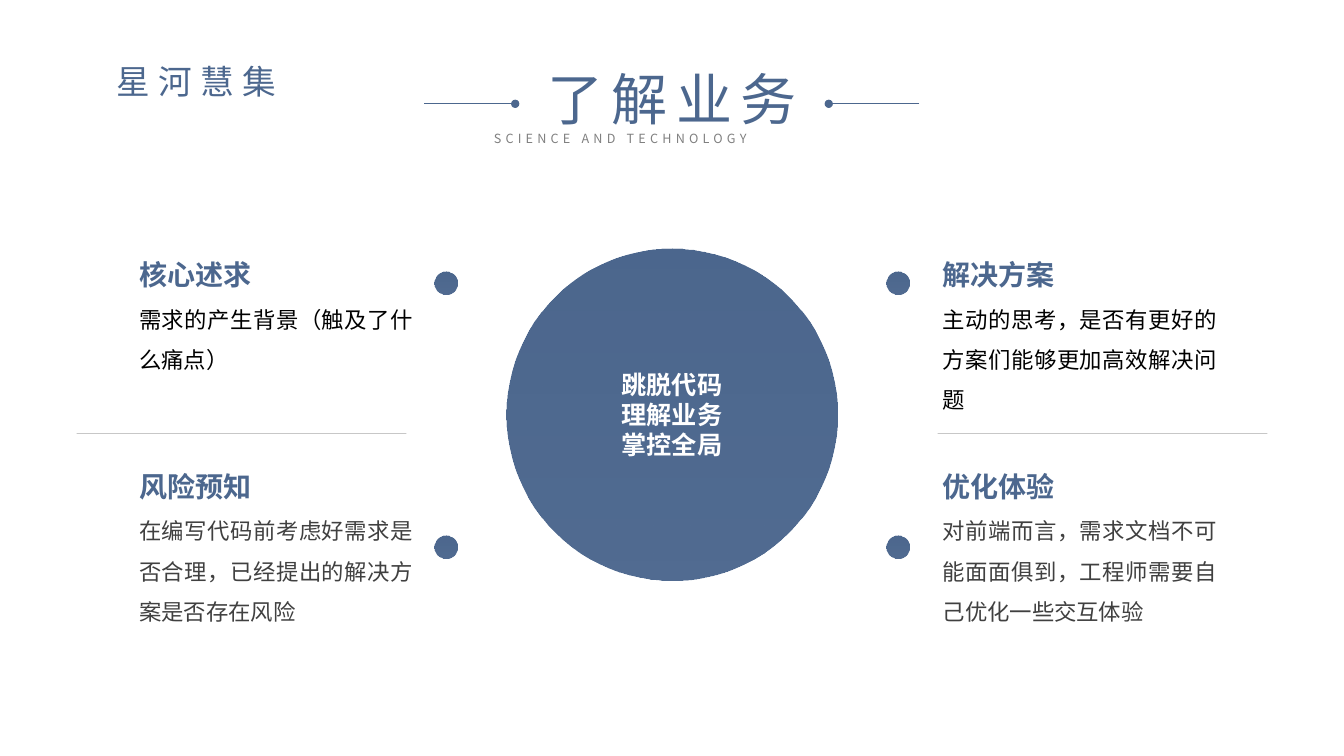
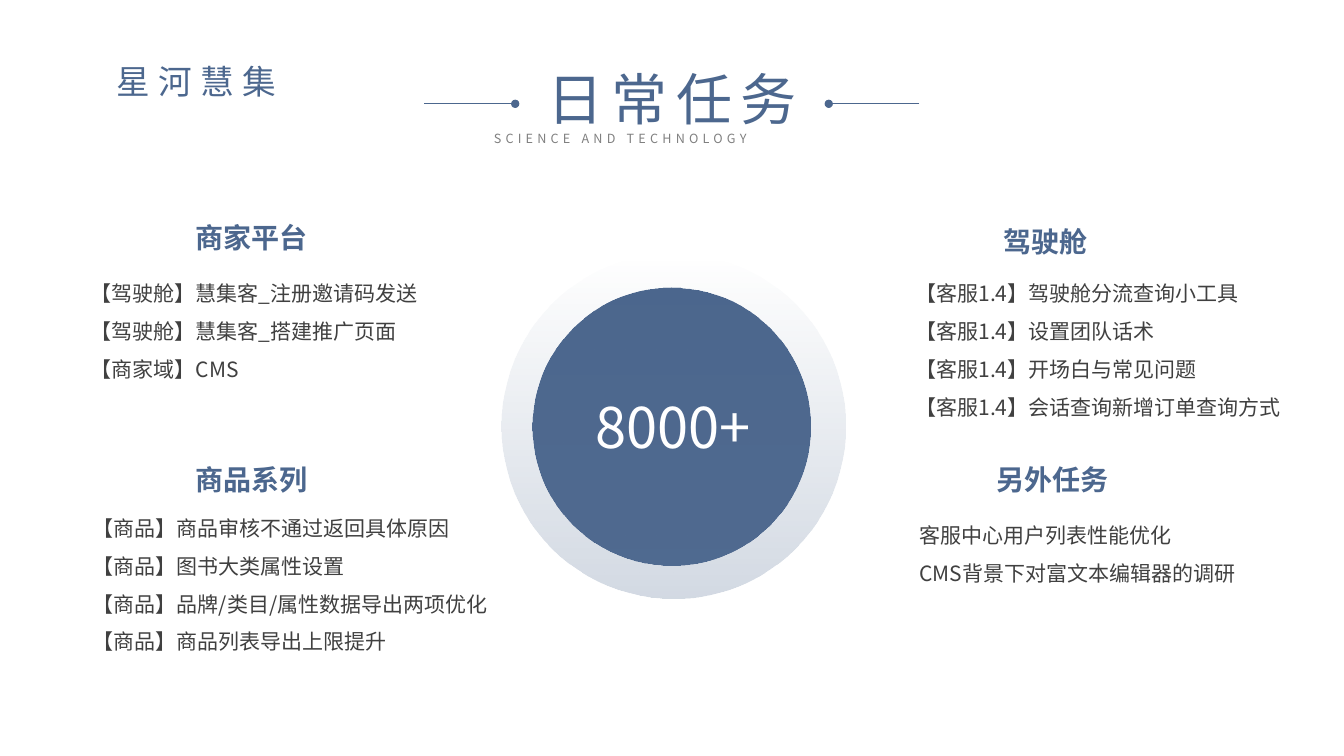
"""Build two business slides that share a title header and a round centrepiece."""
from dataclasses import dataclass

from lxml.etree import SubElement
from pptx import Presentation
from pptx.dml.color import RGBColor
from pptx.enum.shapes import MSO_CONNECTOR, MSO_SHAPE
from pptx.enum.text import MSO_AUTO_SIZE, PP_ALIGN
from pptx.oxml.ns import qn
from pptx.util import Emu, Pt


@dataclass(frozen=True)
class Theme:
    font: str = "Noto Sans CJK SC"
    blue: str = "4C678E"
    dark: str = "404040"
    black: str = "000000"
    white: str = "FFFFFF"
    caption: str = "808080"
    divider: str = "A6A6A6"
    title_size: int = 40
    brand_size: int = 24
    heading_size: int = 20
    centre_size: int = 18
    body_size: int = 16
    list_size: int = 15
    caption_size: int = 9
    line_width: float = 0.5


theme = Theme()
PX = 9144


def add_text(slide, lines, box, size, color, bold=False, spacing=0,
             align=PP_ALIGN.JUSTIFY, line_spacing=None, inset=True, wrap=True):
    frame = slide.shapes.add_textbox(*(Emu(value * PX) for value in box)).text_frame
    frame.word_wrap = wrap
    frame.auto_size = MSO_AUTO_SIZE.SHAPE_TO_FIT_TEXT
    if not inset:
        frame.margin_left = frame.margin_top = frame.margin_right = frame.margin_bottom = 0
    for index, line in enumerate(lines):
        paragraph = frame.paragraphs[0] if index == 0 else frame.add_paragraph()
        paragraph.alignment = align
        paragraph.line_spacing = line_spacing
        run = paragraph.add_run()
        run.text = line
        run.font.size = Pt(size)
        run.font.bold = bold
        run.font.name = theme.font
        run.font.color.rgb = RGBColor.from_string(color)
        properties = run.font._element
        SubElement(properties, qn("a:ea"), typeface=theme.font)
        if spacing:
            properties.set("spc", str(spacing * 100))


def add_circle(slide, left, top, diameter, opacities=(100, 97)):
    shape = slide.shapes.add_shape(
        MSO_SHAPE.OVAL, *(Emu(value * PX) for value in (left, top, diameter, diameter)))
    shape.shadow.inherit = False
    shape.line.fill.background()
    shape.fill.gradient()
    shape.fill.gradient_angle = 270
    for stop in shape.fill.gradient_stops:
        stop.color.rgb = RGBColor.from_string(theme.blue)
    for color, opacity in zip(shape.element.spPr.iter(qn("a:srgbClr")), opacities):
        SubElement(color, qn("a:alpha"), val=str(opacity * 1000))


presentation = Presentation()
presentation.slide_width = Emu(1333 * PX)
presentation.slide_height = Emu(750 * PX)

slides = []
lines = []
for title in ("了解业务", "日常任务"):
    slide = presentation.slides.add_slide(presentation.slide_layouts[6])
    slides.append(slide)
    add_text(slide, ["SCIENCE AND TECHNOLOGY"], (480, 125, 374, 25),
             theme.caption_size, theme.caption, spacing=3)
    add_text(slide, [title], (516, 59, 301, 77), theme.title_size, theme.blue,
             spacing=6, align=PP_ALIGN.CENTER)
    add_text(slide, ["星河慧集"], (106, 56, 310, 50), theme.brand_size, theme.blue,
             spacing=6, align=PP_ALIGN.LEFT)
    lines += [(slide, 421, 511, 103, theme.blue, 100, True),
              (slide, 912, 822, 103, theme.blue, 100, True)]

business, tasks = slides

lines += [(business, left, left + 327, 430, theme.divider, 62, False) for left in (76, 930)]
for slide, start, end, height, color, opacity, dotted in lines:
    connector = slide.shapes.add_connector(
        MSO_CONNECTOR.STRAIGHT, *(Emu(value * PX) for value in (start, height, end, height)))
    connector.line.width = Pt(theme.line_width)
    connector.line.color.rgb = RGBColor.from_string(color)
    properties = connector._element.spPr
    SubElement(properties, qn("a:effectLst"))
    if dotted:
        SubElement(connector.line._get_or_add_ln(), qn("a:tailEnd"), type="oval")
    if opacity < 100:
        for line_color in properties.iter(qn("a:srgbClr")):
            SubElement(line_color, qn("a:alpha"), val=str(opacity * 1000))

add_circle(business, 502, 247, 329)
for left in (431, 879):
    for top in (269, 531):
        add_circle(business, left, top, 23)

topics = [
    (138, 239, theme.black, "核心述求", "需求的产生背景（触及了什么痛点）"),
    (138, 449, theme.dark, "风险预知", "在编写代码前考虑好需求是否合理，已经提出的解决方案是否存在风险"),
    (935, 239, theme.black, "解决方案", "主动的思考，是否有更好的方案们能够更加高效解决问题"),
    (935, 449, theme.dark, "优化体验", "对前端而言，需求文档不可能面面俱到，工程师需要自己优化一些交互体验"),
]
for left, top, color, heading, body in topics:
    add_text(business, [heading], (left, top, 185, 50), theme.heading_size, theme.blue,
             bold=True, line_spacing=1.5, inset=False)
    add_text(business, [body], (left, top + 51, 272, 121), theme.body_size, color,
             line_spacing=1.5, inset=False)
add_text(business, ["跳脱代码", "理解业务", "掌控全局"], (600, 361, 133, 101),
         theme.centre_size, theme.white, bold=True, align=PP_ALIGN.CENTER)

task_groups = [
    ("商家平台", (194, 202, 159, 50), (90, 266, 326, 109),
     ["【驾驶舱】慧集客_注册邀请码发送", "【驾驶舱】慧集客_搭建推广页面", "【商家域】CMS"]),
    ("商品系列", (194, 442, 119, 45), (92, 499, 405, 147),
     ["【商品】商品审核不通过返回具体原因", "【商品】图书大类属性设置",
      "【商品】品牌/类目/属性数据导出两项优化", "【商品】商品列表导出上限提升"]),
    ("驾驶舱", (995, 206, 90, 45), (908, 266, 373, 151),
     ["【客服1.4】驾驶舱分流查询小工具", "【客服1.4】设置团队话术",
      "【客服1.4】开场白与常见问题", "【客服1.4】会话查询新增订单查询方式"]),
    ("另外任务", (988, 442, 123, 50), (912, 506, 369, 71),
     ["客服中心用户列表性能优化", "CMS背景下对富文本编辑器的调研"]),
]
for heading, heading_box, list_box, items in task_groups:
    add_text(tasks, [heading], heading_box, theme.heading_size, theme.blue,
             bold=True, line_spacing=1.5, inset=False)
    add_text(tasks, items, list_box, theme.list_size, theme.dark,
             line_spacing=1.5, inset=False)

add_circle(tasks, 497, 252, 342, opacities=(0, 25))
add_circle(tasks, 528, 285, 276)
add_text(tasks, ["8000+"], (581, 384, 194, 77), theme.title_size, theme.white,
         align=PP_ALIGN.LEFT, wrap=False)

presentation.save("out.pptx")
